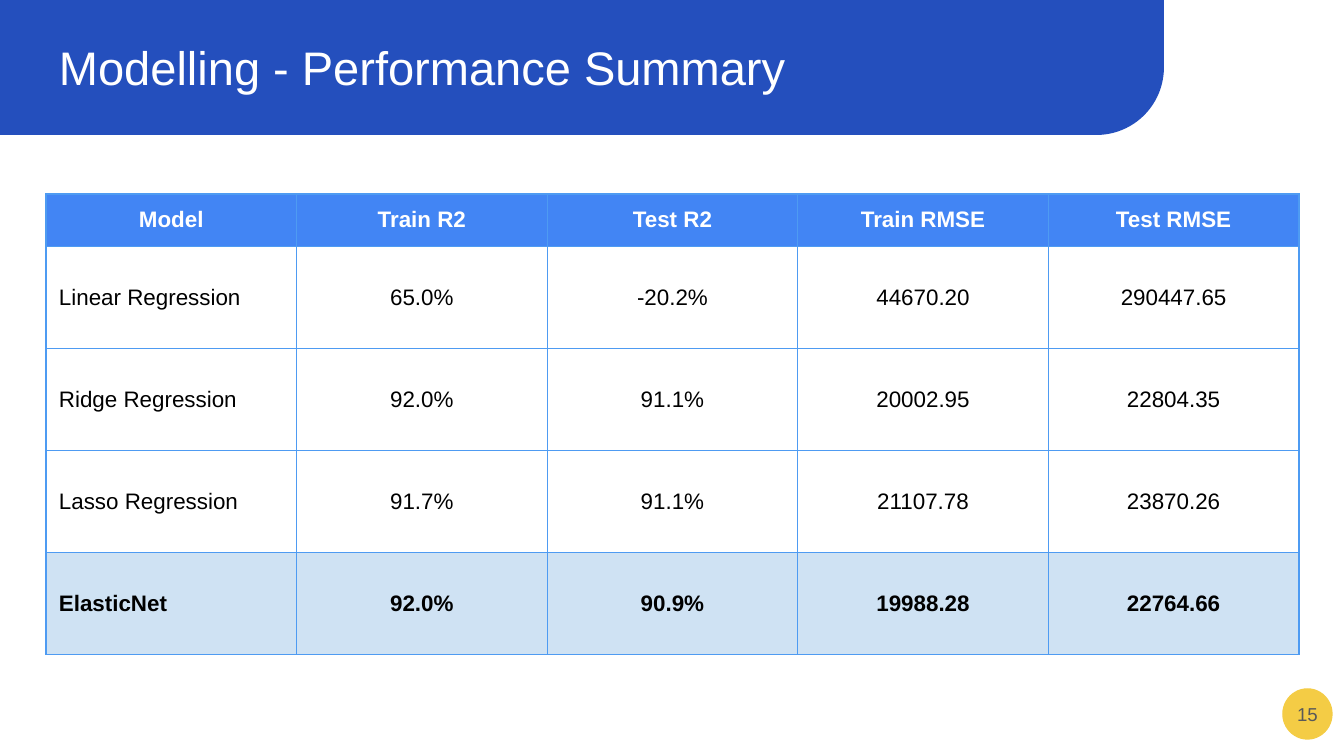
from lxml.etree import SubElement
from pptx import Presentation
from pptx.dml.color import RGBColor
from pptx.enum.shapes import MSO_SHAPE as SHAPE
from pptx.enum.text import MSO_ANCHOR as ANCHOR, PP_ALIGN as ALIGN
from pptx.oxml.ns import qn
from pptx.util import Pt

EMU_PER_PX = 914400 / 134.4

WHITE = RGBColor(0xFF, 0xFF, 0xFF)
BLACK = RGBColor(0x00, 0x00, 0x00)
GRAY = RGBColor(0x59, 0x59, 0x59)
NAVY = RGBColor(0x24, 0x4F, 0xBD)
YELLOW = RGBColor(0xF4, 0xCC, 0x45)
HEADER_BLUE = RGBColor(0x42, 0x85, 0xF4)
BEST_BLUE = RGBColor(0xCF, 0xE2, 0xF3)
BORDER_BLUE = RGBColor(0x4E, 0x9B, 0xF2)

RESULTS = [
    ("Model", "Train R2", "Test R2", "Train RMSE", "Test RMSE"),
    ("Linear Regression", "65.0%", "-20.2%", "44670.20", "290447.65"),
    ("Ridge Regression", "92.0%", "91.1%", "20002.95", "22804.35"),
    ("Lasso Regression", "91.7%", "91.1%", "21107.78", "23870.26"),
    ("ElasticNet", "92.0%", "90.9%", "19988.28", "22764.66"),
]


def px(n):
    return round(n * EMU_PER_PX)


class SlideBuilder:
    font = "Arial"
    inset = px(13)

    def __init__(self, slide):
        self.s = slide

    def style(self, p, size, color, bold=False, align=ALIGN.LEFT):
        p.alignment = align
        p.font.name = self.font
        p.font.size = Pt(size)
        p.font.bold = bold
        p.font.color.rgb = color

    def set_insets(self, target):
        target.margin_left = target.margin_right = self.inset
        target.margin_top = target.margin_bottom = self.inset

    def shape(self, kind, box, fill, line=None):
        sp = self.s.shapes.add_shape(kind, *map(px, box))
        sp.shadow.inherit = False
        sp.fill.solid()
        sp.fill.fore_color.rgb = fill
        if line is None:
            sp.line.fill.background()
        else:
            sp.line.color.rgb = line
            sp.line.width = Pt(0.75)
        return sp

    def banner(self, box, fill):
        sp = self.shape(SHAPE.ROUND_1_RECTANGLE, box, fill)
        sp.adjustments[0] = 0.5
        sp.rotation = 180
        sp._element.spPr.find(qn("a:xfrm")).set("flipH", "1")

    def text(self, box, text, size, color, align=ALIGN.LEFT, anchor=ANCHOR.TOP):
        tf = self.s.shapes.add_textbox(*map(px, box)).text_frame
        tf.word_wrap = True
        tf.vertical_anchor = anchor
        self.set_insets(tf)
        p = tf.paragraphs[0]
        p.text = text
        self.style(p, size, color, align=align)

    def borders(self, cell, color):
        tc_pr = cell._tc.get_or_add_tcPr()
        for i, side in enumerate(("lnL", "lnR", "lnT", "lnB")):
            ln = tc_pr.makeelement(qn(f"a:{side}"), {"w": str(Pt(0.75))})
            fill = SubElement(ln, qn("a:solidFill"))
            SubElement(fill, qn("a:srgbClr"), val=str(color))
            tc_pr.insert(i, ln)

    def cell(self, cell, text, color, fill, bold, align, anchor):
        cell.text = text
        cell.vertical_anchor = anchor
        self.set_insets(cell)
        self.style(cell.text_frame.paragraphs[0], 12, color, bold, align)
        if fill is None:
            cell.fill.background()
        else:
            cell.fill.solid()
            cell.fill.fore_color.rgb = fill
        self.borders(cell, BORDER_BLUE)

    def table(self, box, rows, header_height, row_height):
        last = len(rows) - 1
        table = self.s.shapes.add_table(len(rows), len(rows[0]), *map(px, box)).table
        table.first_row = table.horz_banding = False
        fills = {0: HEADER_BLUE, last: BEST_BLUE}
        for r, values in enumerate(rows):
            header = r == 0
            table.rows[r].height = px(header_height if header else row_height)
            for c, value in enumerate(values):
                self.cell(
                    table.cell(r, c),
                    value,
                    color=WHITE if header else BLACK,
                    fill=fills.get(r),
                    bold=r in fills,
                    align=ALIGN.CENTER if header or c else ALIGN.LEFT,
                    anchor=ANCHOR.TOP if header else ANCHOR.MIDDLE,
                )


def main():
    prs = Presentation()
    prs.slide_width, prs.slide_height = px(1344), px(756)
    b = SlideBuilder(prs.slides.add_slide(prs.slide_layouts[6]))
    b.banner((0, 0, 1164, 135), NAVY)
    b.shape(SHAPE.OVAL, (1283, 689, 49, 50), YELLOW, YELLOW)
    b.text((46, 26, 1253, 85), "Modelling - Performance Summary", 25.2, WHITE)
    b.table((46, 194, 1253, 459), RESULTS, header_height=51, row_height=102)
    b.text((1283, 685, 49, 58), "15", 10, GRAY, ALIGN.CENTER, ANCHOR.MIDDLE)
    prs.save("out.pptx")


if __name__ == "__main__":
    main()
